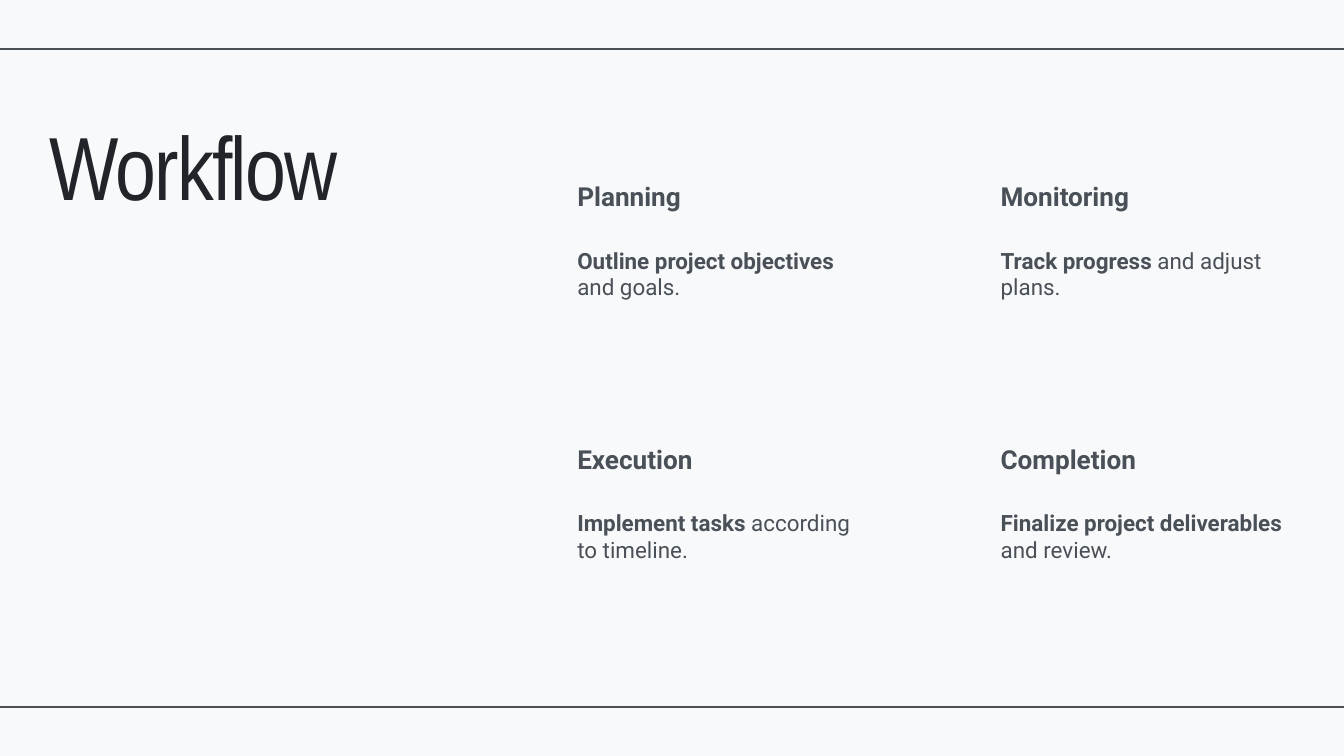
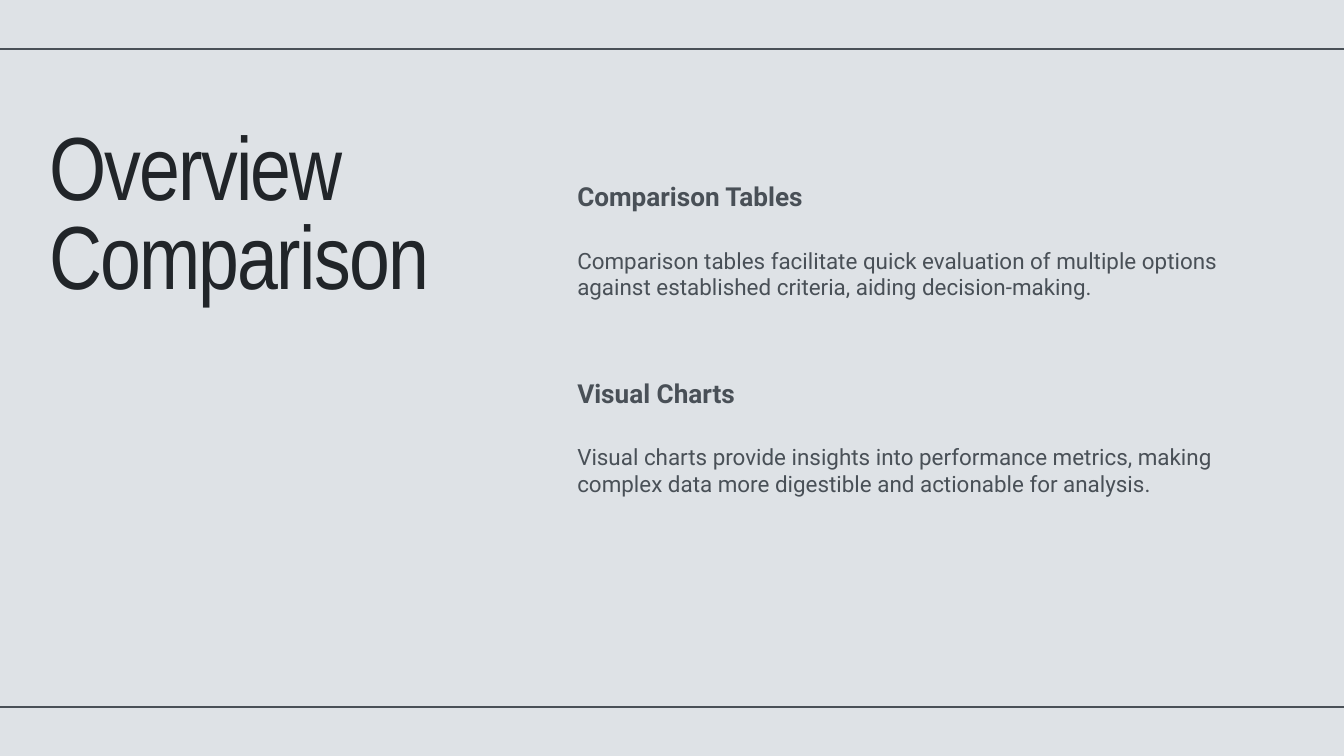
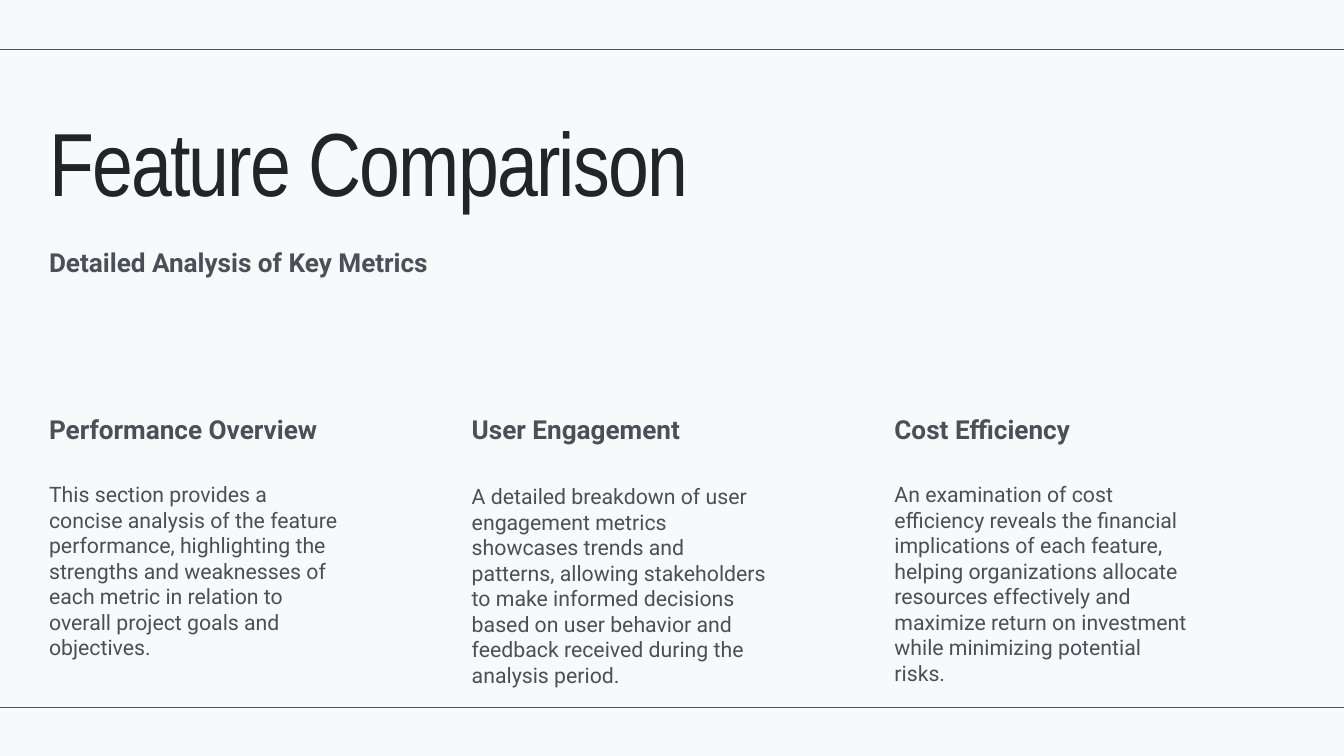
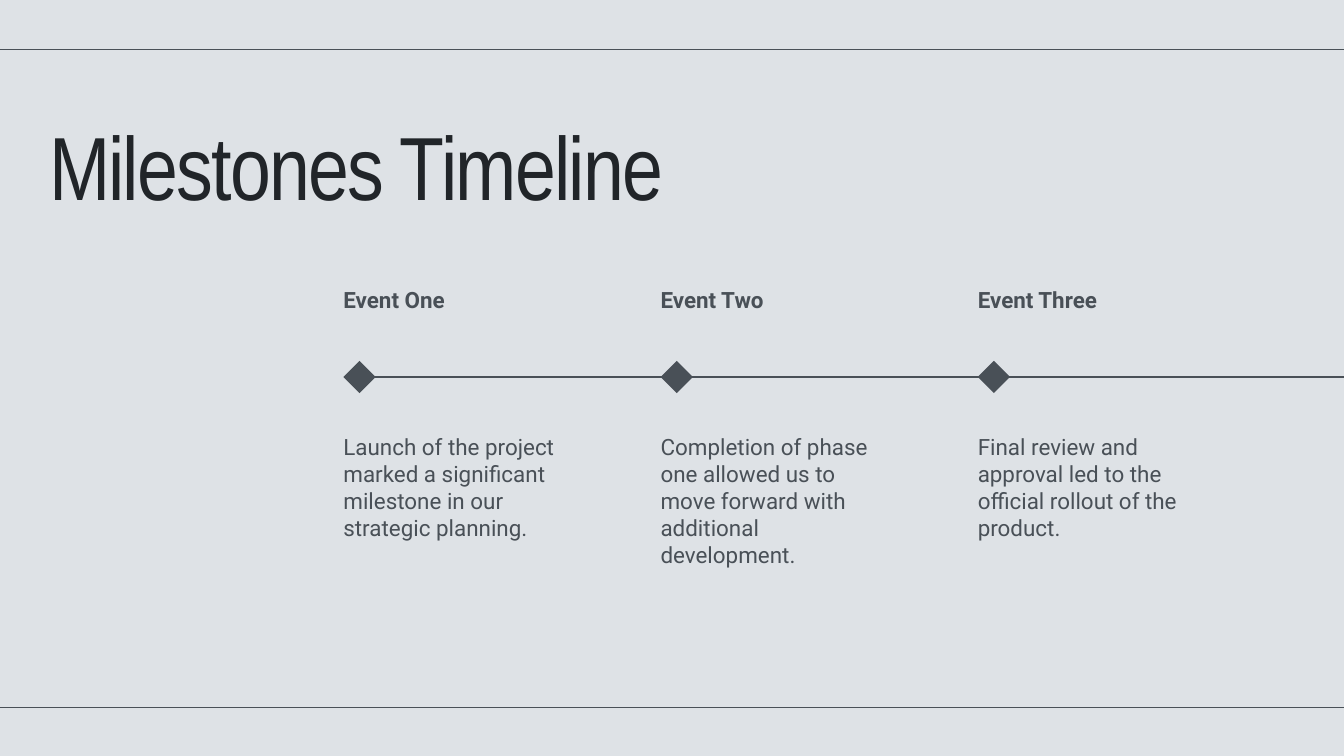
from dataclasses import dataclass

from pptx import Presentation
from pptx.dml.color import RGBColor
from pptx.enum.shapes import MSO_CONNECTOR, MSO_SHAPE
from pptx.enum.text import MSO_AUTO_SIZE
from pptx.oxml.ns import qn
from pptx.presentation import Presentation as Deck
from pptx.slide import Slide
from pptx.util import Inches, Pt
from lxml.etree import SubElement

LIGHT = RGBColor(0xF8, 0xF9, 0xFA)
MIST = RGBColor(0xDE, 0xE2, 0xE6)
SLATE = RGBColor(0x49, 0x50, 0x57)
INK = RGBColor(0x21, 0x25, 0x29)

SLIDE_WIDTH, SLIDE_HEIGHT = 20, 11.25
MARGIN = 0.73
RULE_GAP = 9.79
CONTENT_LEFT = 8.59
COLUMN_PITCH = 6.3
COLUMN_WIDTH = 4.39
HEADING_HEIGHT = 0.46


@dataclass(frozen=True)
class TextStyle:
    size: float
    line_spacing: float
    font_name: str = "Roboto"
    color: RGBColor = SLATE
    bold: bool = False
    tracking: int = 0


TITLE = TextStyle(96, 96, "Arial Narrow", INK, tracking=-190)
HEADING = TextStyle(28, 33.6, bold=True)
BODY = TextStyle(24, 28.8)
COMPACT_BODY = TextStyle(22.8, 27.4)
EVENT = TextStyle(24, 24, bold=True)


@dataclass(frozen=True)
class Card:
    heading: str
    body: str
    lead: str = ""
    body_offset: float = 0.98


WORKFLOW_STEPS = [
    Card("Planning", " and goals.", "Outline project objectives"),
    Card("Monitoring", " and adjust plans.", "Track progress"),
    Card("Execution", " according to timeline.", "Implement tasks"),
    Card("Completion", " and review.", "Finalize project deliverables"),
]
COMPARISON_METHODS = [
    Card("Comparison Tables",
         "Comparison tables facilitate quick evaluation of multiple options "
         "against established criteria, aiding decision-making."),
    Card("Visual Charts",
         "Visual charts provide insights into performance metrics, making "
         "complex data more digestible and actionable for analysis."),
]
FEATURES = [
    Card("Performance Overview",
         "This section provides a concise analysis of the feature performance, "
         "highlighting the strengths and weaknesses of each metric in relation "
         "to overall project goals and objectives.", body_offset=1.01),
    Card("User Engagement",
         "A detailed breakdown of user engagement metrics showcases trends and "
         "patterns, allowing stakeholders to make informed decisions based on "
         "user behavior and feedback received during the analysis period.",
         body_offset=1.04),
    Card("Cost Efficiency",
         "An examination of cost efficiency reveals the financial implications "
         "of each feature, helping organizations allocate resources effectively "
         "and maximize return on investment while minimizing potential risks.",
         body_offset=1.01),
]
MILESTONES = [
    Card("Event One",
         "Launch of the project marked a significant milestone in our "
         "strategic planning."),
    Card("Event Two",
         "Completion of phase one allowed us to move forward with additional "
         "development."),
    Card("Event Three",
         "Final review and approval led to the official rollout of the product."),
]


def add_text(slide: Slide, text: str, style: TextStyle, left: float, top: float,
             width: float, height: float, lead: str = "") -> None:
    shape = slide.shapes.add_textbox(Inches(left), Inches(top), Inches(width), Inches(height))
    frame = shape.text_frame
    frame.word_wrap = True
    frame.auto_size = MSO_AUTO_SIZE.SHAPE_TO_FIT_TEXT
    frame.margin_left = frame.margin_top = frame.margin_right = frame.margin_bottom = 0
    paragraph = frame.paragraphs[0]
    paragraph.line_spacing = Pt(style.line_spacing)
    paragraph.font.name = style.font_name
    paragraph.font.size = Pt(style.size)
    paragraph.font.bold = style.bold
    paragraph.font.color.rgb = style.color
    if lead:
        lead_run = paragraph.add_run()
        lead_run.text = lead
        lead_run.font.bold = True
    run = paragraph.add_run()
    run.text = text
    if style.tracking:
        run._r.get_or_add_rPr().set("spc", str(style.tracking))


def add_rule(slide: Slide, left: float, right: float, top: float) -> None:
    connector = slide.shapes.add_connector(
        MSO_CONNECTOR.STRAIGHT, Inches(left), Inches(top), Inches(right), Inches(top))
    connector.line.color.rgb = SLATE
    connector.line.width = Pt(1.5)
    SubElement(connector._element.spPr, qn("a:effectLst"))


def add_diamond(slide: Slide, left: float, center: float, size: float) -> None:
    shape = slide.shapes.add_shape(
        MSO_SHAPE.DIAMOND, Inches(left), Inches(center - size / 2), Inches(size), Inches(size))
    shape.shadow.inherit = False
    shape.fill.solid()
    shape.fill.fore_color.rgb = SLATE
    shape.line.fill.background()


def add_card(slide: Slide, card: Card, left: float, top: float, width: float,
             body_height: float = 0.79, body_style: TextStyle = BODY) -> None:
    add_text(slide, card.heading, HEADING, left, top, width, HEADING_HEIGHT)
    add_text(slide, card.body, body_style, left, top + card.body_offset, width,
             body_height, card.lead)


def add_base_slide(presentation: Deck, background: RGBColor, title: str,
                   title_top: float = 1.91, title_width: float = 5.96,
                   title_height: float = 1.4, rule_top: float = 0.73) -> Slide:
    slide = presentation.slides.add_slide(presentation.slide_layouts[6])
    slide.background.fill.solid()
    slide.background.fill.fore_color.rgb = background
    for top in (rule_top, rule_top + RULE_GAP):
        add_rule(slide, 0, SLIDE_WIDTH, top)
    add_text(slide, title, TITLE, MARGIN, title_top, title_width, title_height)
    return slide


def build_workflow(presentation: Deck) -> None:
    slide = add_base_slide(presentation, LIGHT, "Workflow")
    for index, card in enumerate(WORKFLOW_STEPS):
        row, column = divmod(index, 2)
        add_card(slide, card, CONTENT_LEFT + column * COLUMN_PITCH,
                 2.69 + row * 3.91, COLUMN_WIDTH)


def build_overview(presentation: Deck) -> None:
    slide = add_base_slide(presentation, MIST, "Overview Comparison", title_height=2.74)
    for row, card in enumerate(COMPARISON_METHODS):
        add_card(slide, card, CONTENT_LEFT, 2.69 + row * 2.93, 10.68)


def build_features(presentation: Deck) -> None:
    full_width = SLIDE_WIDTH - 2 * MARGIN
    slide = add_base_slide(presentation, LIGHT, "Feature Comparison", title_top=1.86,
                           title_width=full_width, title_height=1.45, rule_top=0.74)
    add_text(slide, "Detailed Analysis of Key Metrics", HEADING, MARGIN, 3.67,
             full_width, HEADING_HEIGHT)
    for column, card in enumerate(FEATURES):
        add_card(slide, card, MARGIN + column * 6.29, 6.15, COLUMN_WIDTH, 2.63, COMPACT_BODY)


def build_timeline(presentation: Deck) -> None:
    slide = add_base_slide(presentation, MIST, "Milestones Timeline", title_top=1.92,
                           title_width=17.3, rule_top=0.74)
    axis = 5.61
    add_rule(slide, 5.47, 21.77, axis)
    for column, milestone in enumerate(MILESTONES):
        left = 5.11 + column * 4.72
        add_diamond(slide, left, axis, 0.48)
        add_text(slide, milestone.heading, EVENT, left, 4.33, 3.48, 0.36)
        add_text(slide, milestone.body, BODY, left, 6.45, 3.48, 1.58)


def main() -> None:
    presentation = Presentation()
    presentation.slide_width = Inches(SLIDE_WIDTH)
    presentation.slide_height = Inches(SLIDE_HEIGHT)
    build_workflow(presentation)
    build_overview(presentation)
    build_features(presentation)
    build_timeline(presentation)
    presentation.save("out.pptx")


if __name__ == "__main__":
    main()
